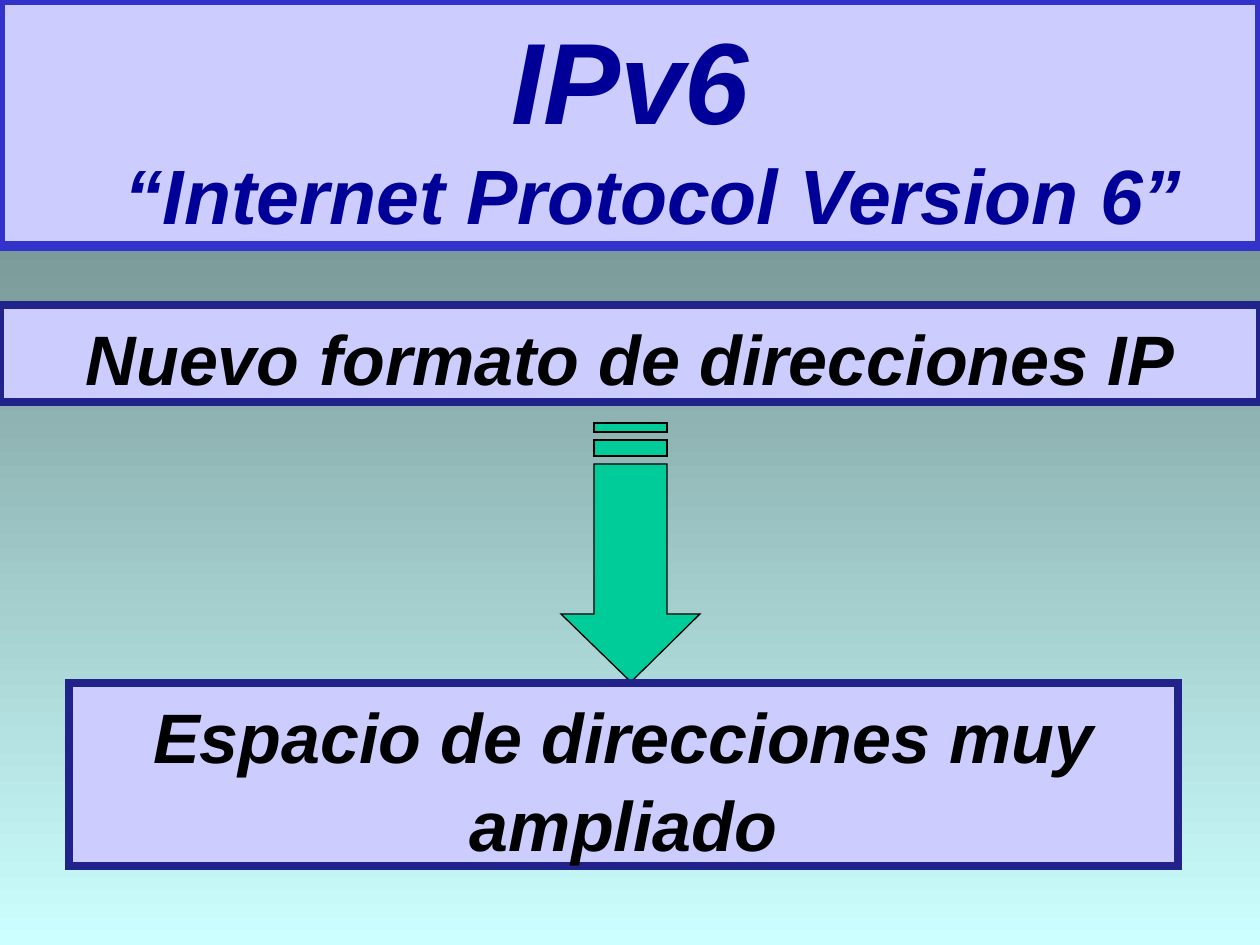
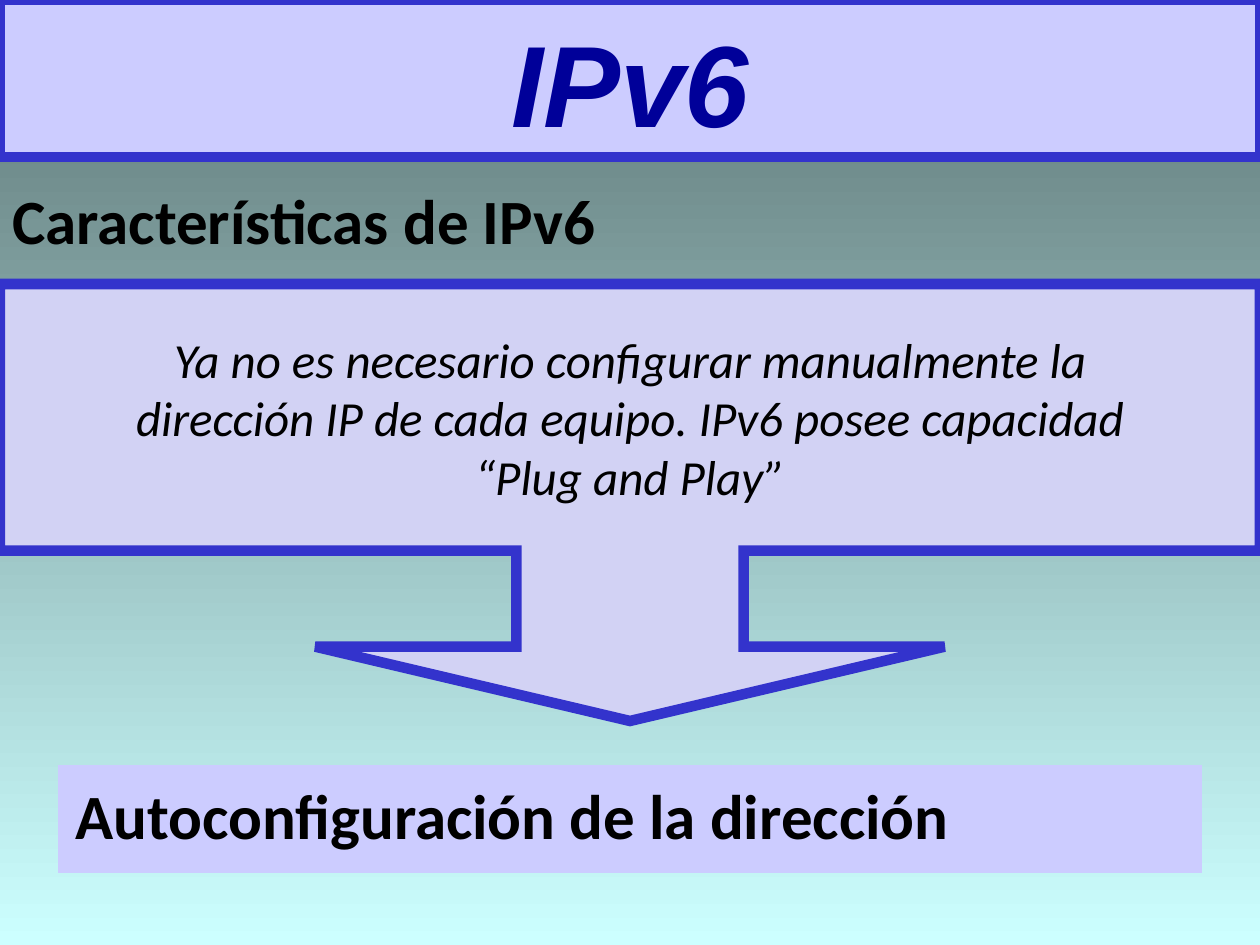
from dataclasses import dataclass

from lxml.etree import SubElement
from pptx import Presentation
from pptx.dml.color import RGBColor
from pptx.enum.shapes import MSO_SHAPE as Shape
from pptx.enum.text import MSO_ANCHOR as Anchor, MSO_AUTO_SIZE as AutoSize, PP_ALIGN as Align
from pptx.oxml.ns import qn
from pptx.util import Pt

EMU_PER_PX = 914400 / 126
SLIDE_WIDTH, SLIDE_HEIGHT = 1260, 945
TITLE_ONLY = 5


@dataclass(frozen=True)
class Theme:
    # Colours
    sky_top: str = "5E7676"
    sky_bottom: str = "CCFFFF"
    panel: str = "CCCCFF"
    callout: str = "D2D2F4"
    border: str = "3333CC"
    dark_border: str = "22228B"
    title: str = "000099"
    text: str = "000000"
    arrow: str = "00CC99"
    # Type
    display_font: str = "Arial"
    body_font: str = "Calibri"
    title_size: int = 66
    subtitle_size: int = 44
    statement_size: int = 40
    heading_size: int = 36
    note_size: int = 28
    # Line widths
    thick: float = 6
    medium: float = 4.5
    thin: float = 0.75


THEME = Theme()
TITLE_FONT = dict(name=THEME.display_font, size=THEME.title_size, color=THEME.title, bold=True, italic=True)
SUBTITLE_FONT = TITLE_FONT | dict(size=THEME.subtitle_size)
STATEMENT_FONT = TITLE_FONT | dict(size=THEME.statement_size, color=THEME.text)
HEADING_FONT = dict(name=THEME.body_font, size=THEME.heading_size, color=THEME.text, bold=True, italic=False)
NOTE_FONT = HEADING_FONT | dict(size=THEME.note_size, bold=False, italic=True)


def px(length):
    return round(length * EMU_PER_PX)


def emu_box(box):
    return [px(length) for length in box]


def format_font(font, style):
    for name, value in style.items():
        if name == "color":
            font.color.rgb = RGBColor.from_string(value)
        else:
            setattr(font, name, Pt(value) if name == "size" else value)


def paint(shape, fill, border, width):
    """Flat fill and an outline with sharp corners."""
    shape.fill.solid()
    shape.fill.fore_color.rgb = RGBColor.from_string(fill)
    shape.line.color.rgb = RGBColor.from_string(border)
    shape.line.width = Pt(width)
    outline = shape._element.spPr.find(qn("a:ln"))
    SubElement(outline, qn("a:miter"), lim="800000")


def write(shape, lines, style, align=Align.CENTER, anchor=Anchor.TOP, wrap=True, spacing=1.0):
    """One paragraph for each line."""
    frame = shape.text_frame
    frame.word_wrap = wrap
    frame.auto_size = AutoSize.NONE
    frame.vertical_anchor = anchor
    frame.text = "\n".join(lines)
    for paragraph in frame.paragraphs:
        paragraph.alignment = align
        paragraph.line_spacing = spacing
        format_font(paragraph.runs[0].font, style)


def add_panel(slide, box, fill, border, width, preset=Shape.RECTANGLE):
    panel = slide.shapes.add_shape(preset, *emu_box(box))
    panel.shadow.inherit = False
    paint(panel, fill, border, width)
    return panel


def add_title(slide, height, subtitle=None):
    """Full-width title band, with an optional second line."""
    title = slide.shapes.title
    title.left, title.top, title.width, title.height = emu_box((0, 0, SLIDE_WIDTH, height))
    paint(title, THEME.panel, THEME.border, THEME.thick)
    write(title, ["IPv6"], TITLE_FONT, anchor=Anchor.BOTTOM)
    paragraph = title.text_frame.paragraphs[0]
    properties = paragraph._p.get_or_add_pPr()
    properties.set("marL", str(px(48)))
    properties.set("indent", str(px(-48)))
    if subtitle:
        paragraph.add_line_break()
        run = paragraph.add_run()
        run.text = subtitle
        format_font(run.font, SUBTITLE_FONT)


def add_statement(slide, box, text):
    panel = add_panel(slide, box, THEME.panel, THEME.dark_border, THEME.medium)
    write(panel, [text], STATEMENT_FONT, spacing=1.05)


def add_striped_arrow(slide, box):
    """Down arrow with two stripes above its shaft."""
    left, top, width, height = box
    middle, half_shaft = width / 2, 36.5
    shaft_left, shaft_right = middle - half_shaft, middle + half_shaft
    shaft_top, head_top = 41, 191
    head = [(width, head_top), (shaft_right, head_top), (shaft_right, shaft_top),
            (shaft_left, shaft_top), (shaft_left, head_top), (0, head_top), (middle, height)]
    stripes = [[(shaft_right, start), (shaft_left, start), (shaft_left, end), (shaft_right, end)]
               for start, end in ((17, 33), (0, 9))]
    builder = slide.shapes.build_freeform(*head[0], scale=EMU_PER_PX)
    builder.add_line_segments(head[1:], close=True)
    for stripe in stripes:
        builder.move_to(*stripe[0])
        builder.add_line_segments(stripe[1:], close=True)
    arrow = builder.convert_to_shape(px(left), px(top))
    arrow.shadow.inherit = False
    paint(arrow, THEME.arrow, THEME.text, THEME.thin)


def add_callout(slide, box, lines):
    callout = add_panel(slide, box, THEME.callout, THEME.border, THEME.thick, Shape.DOWN_ARROW_CALLOUT)
    for index, value in enumerate((0.52, 0.72, 0.17, 0.61)):
        callout.adjustments[index] = value
    write(callout, lines, NOTE_FONT, anchor=Anchor.MIDDLE, wrap=False)


def build_address_slide(slide):
    add_title(slide, 246, "“Internet Protocol Version 6”")
    add_striped_arrow(slide, (561, 423, 139, 259))
    add_statement(slide, (0, 305, SLIDE_WIDTH, 97), "Nuevo formato de direcciones IP")
    add_statement(slide, (69, 683, 1109, 183), "Espacio de direcciones muy ampliado")


def build_feature_slide(slide):
    add_title(slide, 157)
    # Heading
    heading = slide.shapes.add_textbox(*emu_box((0, 175, 668, 88)))
    write(heading, ["Características de IPv6"], HEADING_FONT, Align.LEFT, wrap=False)
    # Conclusion
    conclusion = add_panel(slide, (63, 770, 1134, 98), THEME.panel, THEME.panel, THEME.thick)
    write(conclusion, ["Autoconfiguración de la dirección"], HEADING_FONT, Align.LEFT)
    # Explanation pointing to the conclusion
    add_callout(slide, (0, 284, SLIDE_WIDTH, 437), [
        "Ya no es necesario configurar manualmente la",
        "dirección IP de cada equipo. IPv6 posee capacidad",
        "“Plug and Play”",
    ])


def set_background(master):
    fill = master.background.fill
    fill.gradient()
    fill.gradient_angle = 270
    for stop, color in zip(fill.gradient_stops, (THEME.sky_top, THEME.sky_bottom)):
        stop.color.rgb = RGBColor.from_string(color)


def main():
    presentation = Presentation()
    presentation.slide_width, presentation.slide_height = px(SLIDE_WIDTH), px(SLIDE_HEIGHT)
    set_background(presentation.slide_master)
    for build in (build_address_slide, build_feature_slide):
        build(presentation.slides.add_slide(presentation.slide_layouts[TITLE_ONLY]))
    presentation.save("out.pptx")


if __name__ == "__main__":
    main()
